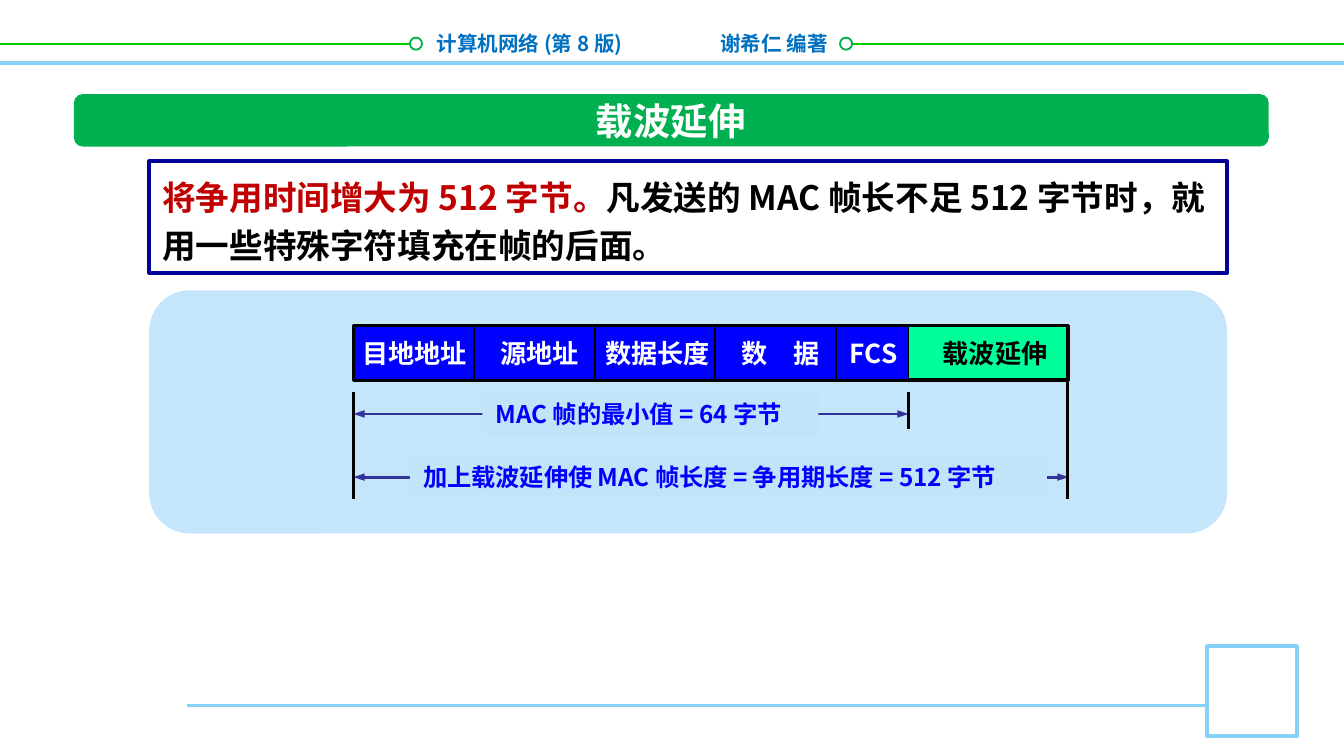
"""Build the slide on carrier extension in Ethernet frames."""
from lxml.etree import SubElement
from pptx import Presentation
from pptx.dml.color import RGBColor
from pptx.enum.shapes import MSO_CONNECTOR as Link, MSO_SHAPE as Shape
from pptx.enum.text import PP_ALIGN as Align
from pptx.oxml.ns import qn
from pptx.util import Pt

PX = 9144
FONT = "Noto Sans CJK SC"
GREEN, SKY, BLUE, NAVY = "00B050", "85D1F7", "0000FF", "333399"
BLACK, WHITE, LABEL = "000000", "FFFFFF", "C3E3F9"

deck = Presentation()
deck.slide_width = 1000 * PX
deck.slide_height = deck.slide_width * 9 // 16
page = deck.slides.add_slide(deck.slide_layouts[6])


def add_box(left, top, width, height, *runs, kind=Shape.RECTANGLE, fill=None, line=None,
            weight=1, size=14, align=Align.CENTER, wrap=False, spacing=None):
    """Add a shape, or a text box if it has no fill; runs are (text, colour) pairs."""
    area = [length * PX for length in (left, top, width, height)]
    if fill:
        box = page.shapes.add_shape(kind, *area)
        box.shadow.inherit = False
        box.fill.solid()
        box.fill.fore_color.rgb = RGBColor.from_string(fill)
        if line:
            box.line.color.rgb = RGBColor.from_string(line)
            box.line.width = Pt(weight)
        else:
            box.line.fill.background()
    else:
        box = page.shapes.add_textbox(*area)
    box.text_frame.word_wrap = wrap
    para = box.text_frame.paragraphs[0]
    para.alignment = align
    if spacing:
        para.line_spacing = Pt(spacing)
    for text, color in runs:
        span = para.add_run()
        span.text = text
        span.font.name, span.font.size, span.font.bold = FONT, Pt(size), True
        span.font.color.rgb = RGBColor.from_string(color)
        SubElement(span.font._element, qn("a:ea")).set("typeface", FONT)
    return box


def add_line(x1, y1, x2, y2, color=BLACK, weight=1.0, arrows=False):
    """Add a straight line, with arrowheads at both ends if asked."""
    line = page.shapes.add_connector(Link.STRAIGHT, x1 * PX, y1 * PX, x2 * PX, y2 * PX)
    line.line.color.rgb = RGBColor.from_string(color)
    line.line.width = Pt(weight)
    if arrows:
        for tag in ("a:headEnd", "a:tailEnd"):
            tip = SubElement(line.line._get_or_add_ln(), qn(tag))
            tip.set("type", "triangle")
            tip.set("w", "sm")
    SubElement(line._element.spPr, qn("a:effectLst"))


add_line(0, 47, 1000, 47, SKY, 2)
add_box(526, 18, 116, 29, ("谢希仁 编著", "0070C0"), size=11, align=Align.LEFT, wrap=True)
add_box(310, 18, 163, 29, ("计算机网络 (第 8 版)", "0070C0"), size=11, align=Align.RIGHT, wrap=True)
for start, end, dot in ((0, 310, 305), (625, 1000, 625)):
    add_line(start, 33, end, 33, "00CC00")
    add_box(dot, 28, 9, 9, kind=Shape.OVAL, fill=WHITE, line=GREEN)

add_line(139, 525, 898, 525, SKY, 1.5)
add_box(898, 481, 67, 67, fill=WHITE, line=SKY, weight=2)

add_box(111, 216, 802, 181, kind=Shape.ROUNDED_RECTANGLE, fill="C5E5FB")
add_box(55, 70, 889, 39, kind=Shape.ROUNDED_RECTANGLE, fill=GREEN)
add_box(433, 68, 132, 44, ("载波延伸", WHITE), size=20)

add_box(263, 242, 532, 41, fill=BLUE, line=BLACK, weight=1.5)
for divider in (353, 443, 532, 622, 676):
    add_line(divider, 242, divider, 284)
add_box(676, 243, 118, 39, fill="00FF99", line=BLACK, weight=0.75)
fields = (
    (259, 99, "目地地址", WHITE),
    (362, 79, "源地址", WHITE),
    (440, 99, "数据长度", WHITE),
    (540, 82, "数　据", WHITE),
    (622, 56, "FCS", WHITE),
    (691, 99, "载波延伸", BLACK),
)
for left, width, name, color in fields:
    add_box(left, 246, width, 33, (name, color))

measures = (
    (308, 676, 359, 292, 250, "MAC 帧的最小值 = 64 字节"),
    (355, 795, 305, 339, 474, "加上载波延伸使 MAC 帧长度 = 争用期长度 = 512 字节"),
)
for y, end, left, top, width, text in measures:
    add_line(263, y, end, y, NAVY, 1.5, arrows=True)
    add_box(left, top, width, 32, (text, BLUE), fill=LABEL, size=13, align=Align.LEFT)
for x, top, bottom in ((263, 292, 371), (676, 292, 319), (794, 282, 371)):
    add_line(x, top, x, bottom, weight=1.5)

add_box(111, 120, 802, 83, ("将争用时间增大为 512 字节。", "C00000"),
        ("凡发送的 MAC 帧长不足 512 字节时，就用一些特殊字符填充在帧的后面。", BLACK),
        fill=WHITE, line="000099", weight=2, size=18, align=Align.LEFT, wrap=True, spacing=26)

deck.save("out.pptx")
